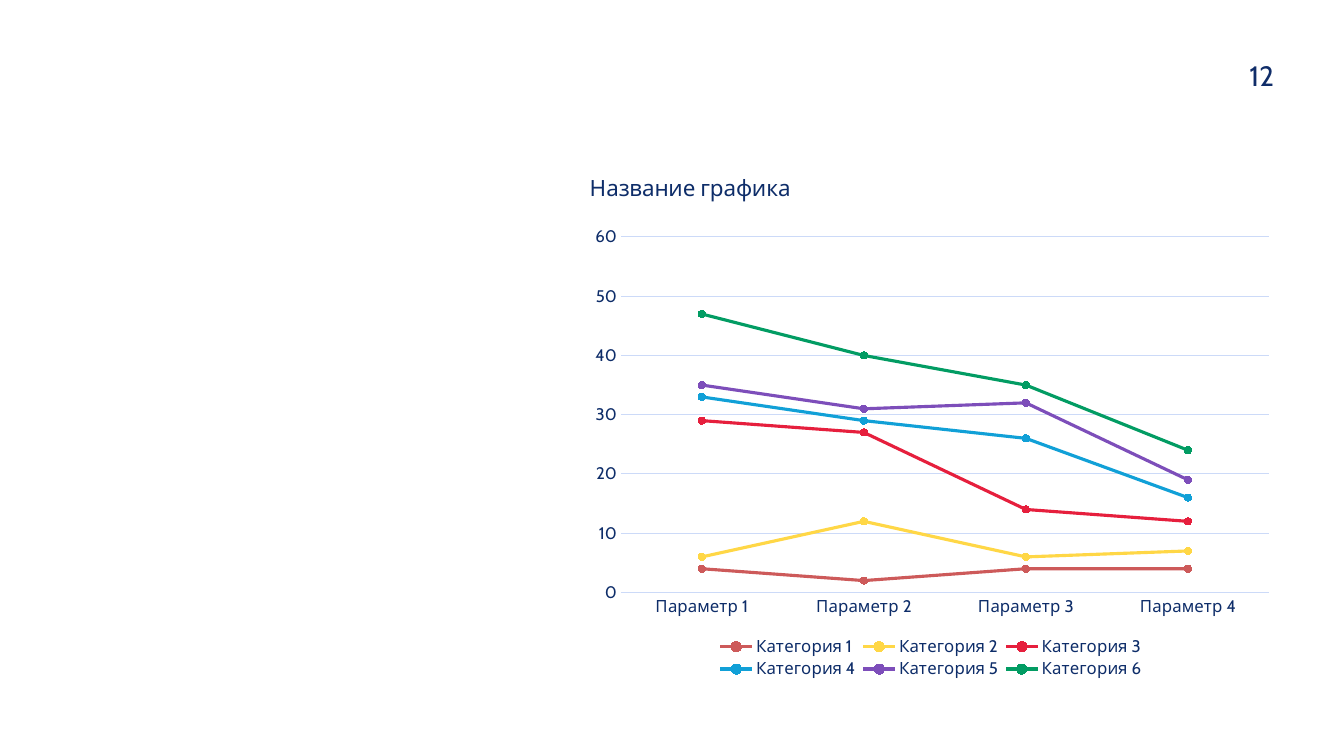
"""Build a slide with a page number and a stacked line chart of six categories."""
from dataclasses import dataclass

import lxml.etree
import pptx
import pptx.chart.data
import pptx.dml.color
import pptx.enum.chart
import pptx.oxml.ns
import pptx.util

PX = 9525
FONT = "Cabin"
NAVY = "0E2D69"
GRID = "CCDAF8"
PARAMETERS = ["Параметр 1", "Параметр 2", "Параметр 3", "Параметр 4"]


@dataclass
class Category:
    name: str
    values: tuple[int, ...]
    color: str
    marker: str


@dataclass
class Region:
    tag: str
    x: float
    y: float
    w: float | None = None
    h: float | None = None
    inner: bool = False


CATEGORIES = [
    Category("Категория 1", (4, 2, 4, 4), "CD5A5A", "CD5A5A"),
    Category("Категория 2", (2, 10, 2, 3), "FFD746", "FFD746"),
    Category("Категория 3", (23, 15, 8, 5), "E61F3D", "E61F3D"),
    Category("Категория 4", (4, 2, 12, 4), "11A0D7", "11A0D7"),
    Category("Категория 5", (2, 2, 6, 3), "7D4EBA", "96628C"),
    Category("Категория 6", (12, 9, 3, 5), "029C63", "029C63"),
]
REGIONS = [
    Region("c:title", 0.01, 0.01),
    Region("c:plotArea", 0.06, 0.14, 0.92, 0.68, inner=True),
    Region("c:legend", 0.19, 0.9, 0.62, 0.09),
]


def px(*lengths: int) -> list[int]:
    return [pptx.util.Emu(length * PX) for length in lengths]


def rgb(color: str) -> pptx.dml.color.RGBColor:
    return pptx.dml.color.RGBColor.from_string(color)


def set_font(font, size: int, color: str = NAVY) -> None:
    font.name = FONT
    font.size = pptx.util.Pt(size)
    font.bold = False
    font.color.rgb = rgb(color)


def set_line(line, color: str, width: float) -> None:
    line.color.rgb = rgb(color)
    line.width = pptx.util.Pt(width)


def place(chart, region: Region) -> None:
    qn = pptx.oxml.ns.qn
    part = next(chart.element.iter(qn(region.tag)))
    layout = part.find(qn("c:layout"))
    if layout is None:
        layout = lxml.etree.Element(qn("c:layout"))
        overlay = part.find(qn("c:overlay"))
        part.insert(0 if overlay is None else part.index(overlay), layout)
    for child in list(layout):
        layout.remove(child)
    manual = lxml.etree.SubElement(layout, qn("c:manualLayout"))
    settings = [("layoutTarget", "inner" if region.inner else None),
                ("xMode", "edge"), ("yMode", "edge"),
                ("x", region.x), ("y", region.y),
                ("w", region.w), ("h", region.h)]
    for tag, value in settings:
        if value is not None:
            lxml.etree.SubElement(manual, qn(f"c:{tag}")).set("val", str(value))


def add_page_number(s, text: str) -> None:
    tf = s.shapes.add_textbox(*px(1190, 56, 70, 33)).text_frame
    tf.word_wrap = True
    tf.margin_left = tf.margin_top = tf.margin_right = tf.margin_bottom = 0
    r = tf.paragraphs[0].add_run()
    r.text = text
    set_font(r.font, 20, "102D69")


def format_axis(axis) -> None:
    axis.major_tick_mark = pptx.enum.chart.XL_TICK_MARK.NONE
    axis.minor_tick_mark = pptx.enum.chart.XL_TICK_MARK.NONE
    set_font(axis.tick_labels.font, 12)


def add_line_chart(s) -> None:
    data = pptx.chart.data.CategoryChartData()
    data.categories = PARAMETERS
    for category in CATEGORIES:
        data.add_series(category.name, category.values)
    chart = s.shapes.add_chart(
        pptx.enum.chart.XL_CHART_TYPE.LINE_MARKERS_STACKED,
        *px(551, 156, 671, 498), data).chart
    set_font(chart.font, 10, "0F2C68")

    chart.has_title = True
    r = chart.chart_title.text_frame.paragraphs[0].add_run()
    r.text = "Название графика"
    set_font(r.font, 16)

    chart.has_legend = True
    chart.legend.position = pptx.enum.chart.XL_LEGEND_POSITION.BOTTOM
    chart.legend.include_in_layout = False
    set_font(chart.legend.font, 12)

    format_axis(chart.category_axis)
    set_line(chart.category_axis.format.line, GRID, 0.75)
    value_axis = chart.value_axis
    format_axis(value_axis)
    value_axis.minimum_scale, value_axis.maximum_scale = 0, 60
    value_axis.major_unit = 10
    value_axis.format.line.fill.background()
    value_axis.has_major_gridlines = True
    set_line(value_axis.major_gridlines.format.line, GRID, 0.75)

    chart.plots[0].vary_by_categories = False
    for series, category in zip(chart.plots[0].series, CATEGORIES):
        series.smooth = False
        set_line(series.format.line, category.color, 2.25)
        marker = series.marker
        marker.style = pptx.enum.chart.XL_MARKER_STYLE.CIRCLE
        marker.size = 5
        marker.format.fill.solid()
        marker.format.fill.fore_color.rgb = rgb(category.marker)
        set_line(marker.format.line, category.marker, 0.75)

    for region in REGIONS:
        place(chart, region)


def main() -> None:
    prs = pptx.Presentation()
    prs.slide_width, prs.slide_height = px(1280, 720)
    s = prs.slides.add_slide(prs.slide_layouts[6])
    add_page_number(s, "12")
    add_line_chart(s)
    prs.save("out.pptx")


if __name__ == "__main__":
    main()
